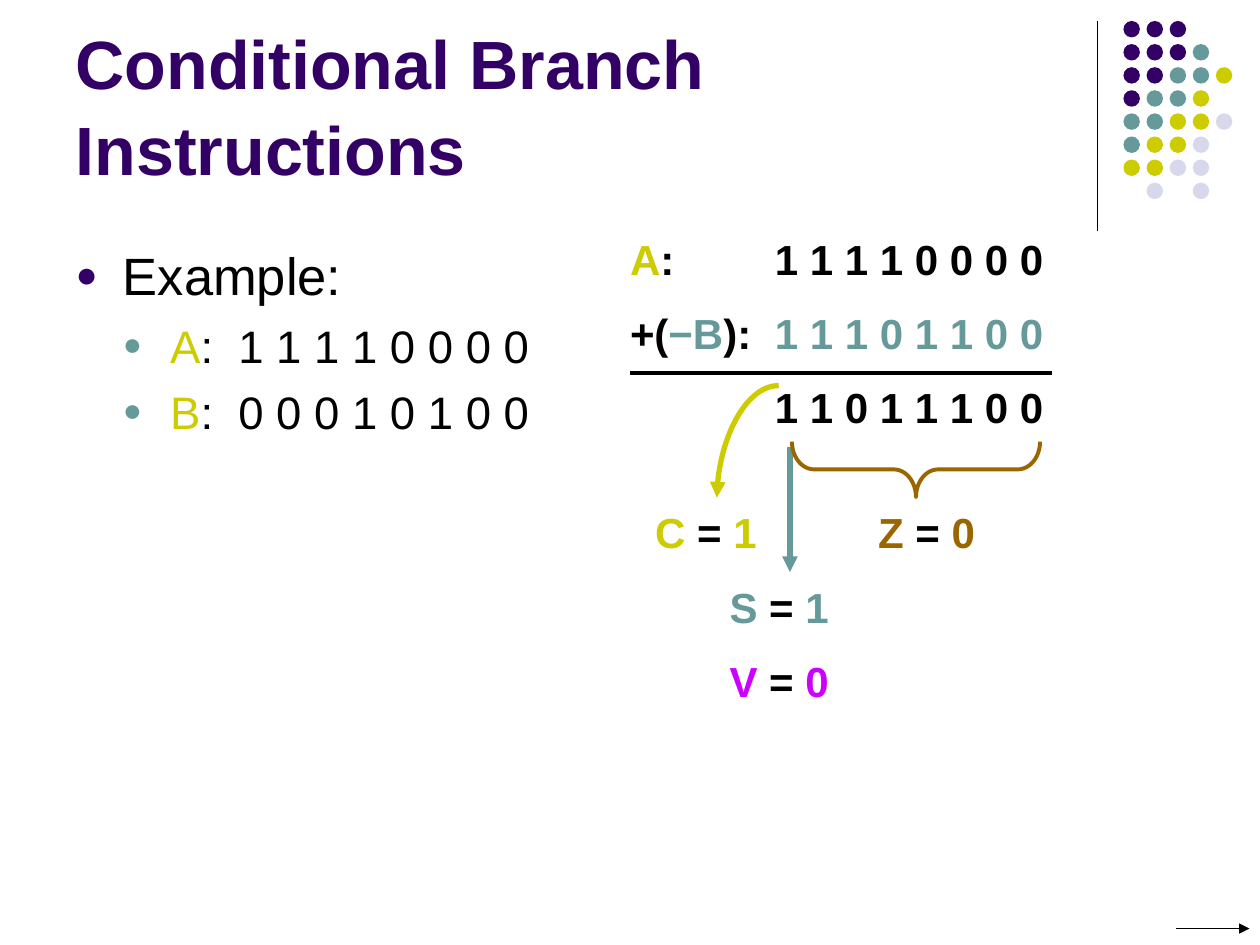
from lxml import etree
from pptx import Presentation
from pptx.dml.color import RGBColor
from pptx.enum.shapes import MSO_CONNECTOR, MSO_SHAPE
from pptx.enum.text import MSO_ANCHOR, MSO_AUTO_SIZE, PP_ALIGN
from pptx.oxml.ns import qn
from pptx.util import Pt

STRAIGHT, CURVE = MSO_CONNECTOR.STRAIGHT, MSO_CONNECTOR.CURVE
OVAL, LEFT_BRACE = MSO_SHAPE.OVAL, MSO_SHAPE.LEFT_BRACE
TOP, MIDDLE, BOTTOM = MSO_ANCHOR.TOP, MSO_ANCHOR.MIDDLE, MSO_ANCHOR.BOTTOM
LEFT, NO_FIT = PP_ALIGN.LEFT, MSO_AUTO_SIZE.NONE

FONT = "Arial"
COLORS = {
    "purple": "330066", "teal": "669999", "yellow": "CCCC00", "pale": "D8D8EC",
    "black": "000000", "brown": "996600", "magenta": "CC00FF",
}

TITLE = [("Conditional Branch Instructions", "purple")]
# level, size, space before, bullet colour, runs
BULLETS = [
    (0, 30, 7.5, "purple", [("Example:", "black")]),
    (1, 26, 6.5, "teal", [("A", "yellow"), (":  1 1 1 1 0 0 0 0", "black")]),
    (1, 26, 6.5, "teal", [("B", "yellow"), (":  0 0 0 1 0 1 0 0", "black")]),
]
SUM_ROWS = [
    [("A", "yellow"), (":\t1 1 1 1 0 0 0 0", "black")],
    [("+(", "black"), ("−B", "teal"), ("):", "black"), ("\t1 1 1 0 1 1 0 0", "teal")],
    [("\t1 1 0 1 1 1 0 0", "black")],
]
# name, value, colour, left, row below the first sum row
FLAGS = [
    ("C", "1", "yellow", 374.4, 3.68),
    ("S", "1", "teal", 416.9, 4.68),
    ("V", "0", "magenta", 416.9, 5.68),
    ("Z", "0", "brown", 501.8, 3.68),
]
DOT_KEYS = {"P": "purple", "T": "teal", "Y": "yellow", "L": "pale"}
DOT_ROWS = ["PPP", "PPPT", "PPTTY", "PTTY", "TTYYL", "TYYL", "YYLL", " L L"]
DOT_LEFT, DOT_TOP, DOT_PITCH, DOT_SIZE = 642, 12, 13.2, 9.4

SUM_LEFT, SUM_TOP, SUM_WIDTH, ROW_HEIGHT = 360, 128.2, 241.2, 42.5
DIGITS_TAB = 82.8
FLAG_WIDTH = 70.6

# kind, start, end, colour, width, arrowhead
LINES = [
    (STRAIGHT, (627, 12), (627, 132), "black", 0.75, False),
    (STRAIGHT, (360, 213.1), (601.2, 213.1), "black", 2.25, False),
    (CURVE, (445, 220.3), (409.7, 284.4), "yellow", 3, True),
    (STRAIGHT, (451.4, 255.6), (451.4, 326.9), "teal", 3, True),
    (STRAIGHT, (672, 530.6), (714, 530.6), "black", 0.75, True),
]


def rgb(name):
    return RGBColor.from_string(COLORS[name])


def add_xml(parent, tag, **attributes):
    return etree.SubElement(parent, qn(tag), attributes)


def add_runs(paragraph, runs, size, bold=False):
    paragraph.alignment = LEFT
    for text, color in runs:
        run = paragraph.add_run()
        run.text = text
        run.font.name = FONT
        run.font.size = Pt(size)
        run.font.bold = bold
        run.font.color.rgb = rgb(color)


def place(shape, left, top, width, height, anchor):
    shape.left, shape.top = Pt(left), Pt(top)
    shape.width, shape.height = Pt(width), Pt(height)
    frame = shape.text_frame
    frame.auto_size = NO_FIT
    frame.word_wrap = True
    frame.vertical_anchor = anchor
    return frame


def set_bullet(paragraph, level, color):
    properties = paragraph._p.get_or_add_pPr()
    properties.set("marL", str(Pt(27 * (level + 1))))
    properties.set("indent", str(-Pt(27)))
    add_xml(add_xml(properties, "a:buClr"), "a:srgbClr", val=COLORS[color])
    add_xml(properties, "a:buSzPct", val="70000")
    add_xml(properties, "a:buFont", typeface=FONT)
    add_xml(properties, "a:buChar", char="●")


def add_label(slide, left, top, width, runs):
    """Add a bold one-line label whose tab stop lines up the binary digits."""
    box = slide.shapes.add_textbox(0, 0, 0, 0)
    frame = place(box, left, top, width, ROW_HEIGHT, MIDDLE)
    frame.margin_left = frame.margin_right = frame.margin_top = frame.margin_bottom = 0
    paragraph = frame.paragraphs[0]
    paragraph.line_spacing = 0.9
    paragraph.space_before = Pt(15)
    add_runs(paragraph, runs, 24, bold=True)
    tabs = add_xml(paragraph._p.get_or_add_pPr(), "a:tabLst")
    add_xml(tabs, "a:tab", pos=str(Pt(DIGITS_TAB)), algn="l")


def add_line(slide, kind, start, end, color, width, arrow):
    line = slide.shapes.add_connector(kind, *(Pt(value) for value in start + end))
    line.line.color.rgb = rgb(color)
    line.line.width = Pt(width)
    properties = line._element.spPr
    if kind == CURVE:
        properties.find(qn("a:prstGeom")).set("prst", "curvedConnector2")
    if arrow:
        add_xml(line.line._get_or_add_ln(), "a:tailEnd", type="triangle")
    add_xml(properties, "a:effectLst")


def add_dots(slide):
    for row, keys in enumerate(DOT_ROWS):
        for column, key in enumerate(keys):
            if key == " ":
                continue
            dot = slide.shapes.add_shape(
                OVAL, Pt(DOT_LEFT + column * DOT_PITCH), Pt(DOT_TOP + row * DOT_PITCH),
                Pt(DOT_SIZE), Pt(DOT_SIZE))
            dot.shadow.inherit = False
            dot.fill.solid()
            dot.fill.fore_color.rgb = rgb(DOT_KEYS[key])
            dot.line.fill.background()


def add_brace(slide):
    brace = slide.shapes.add_shape(LEFT_BRACE, Pt(507.6), Pt(197.3), Pt(31.7), Pt(141.8))
    brace.rotation = 270
    brace.adjustments[0] = 0.4
    brace.shadow.inherit = False
    brace.fill.background()
    brace.line.color.rgb = rgb("brown")
    brace.line.width = Pt(2.25)


def main():
    presentation = Presentation()
    presentation.slide_width, presentation.slide_height = Pt(720), Pt(540)
    slide = presentation.slides.add_slide(presentation.slide_layouts[1])

    title = place(slide.shapes.title, 36, 9.4, 594, 102.2, BOTTOM).paragraphs[0]
    title.line_spacing = 1.05
    add_runs(title, TITLE, 39, bold=True)

    body = place(slide.placeholders[1], 36, 135.4, 648, 175, TOP)
    for index, (level, size, space, color, runs) in enumerate(BULLETS):
        paragraph = body.add_paragraph() if index else body.paragraphs[0]
        paragraph.level = level
        paragraph.space_before = Pt(space)
        set_bullet(paragraph, level, color)
        add_runs(paragraph, runs, size)

    add_dots(slide)
    for row, runs in enumerate(SUM_ROWS):
        add_label(slide, SUM_LEFT, SUM_TOP + row * ROW_HEIGHT, SUM_WIDTH, runs)
    for name, value, color, left, row in FLAGS:
        runs = [(f"{name} ", color), ("= ", "black"), (value, color)]
        add_label(slide, left, SUM_TOP + row * ROW_HEIGHT, FLAG_WIDTH, runs)
    for line in LINES:
        add_line(slide, *line)
    add_brace(slide)

    presentation.save("out.pptx")


if __name__ == "__main__":
    main()
